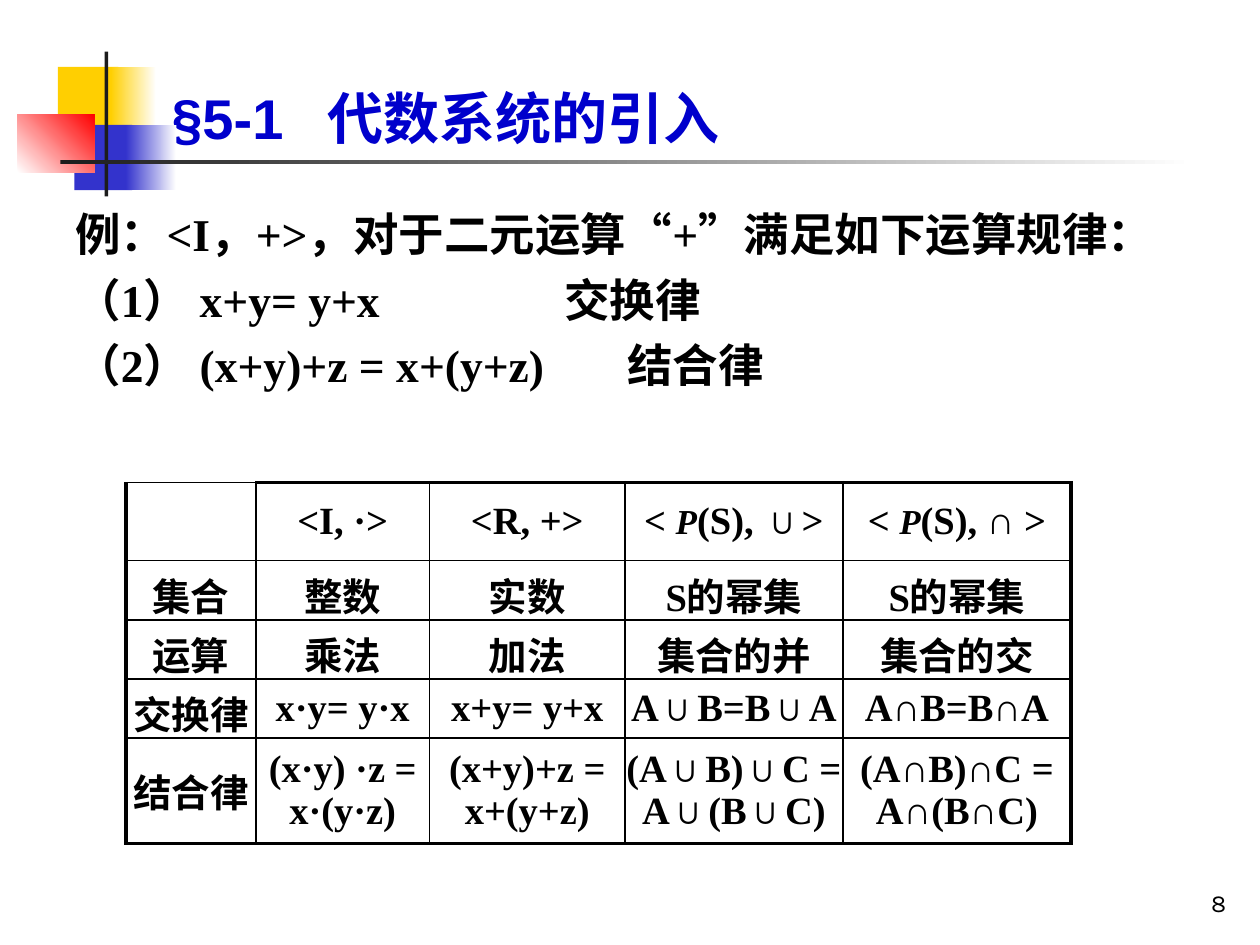
import pptx
import pptx.util
import pptx.dml.color
import pptx.enum.shapes
import pptx.enum.text
import pptx.oxml.ns
from lxml import etree

PX = 9144  # 100 px to the inch
COLORS = {"yellow": "FFCF01", "blue": "3333CC", "red": "FF0000", "white": "FFFFFF",
          "dark": "1C1C1C", "title": "0000CC", "text": "000000"}
SERIF = "Times New Roman"
ALIGN = pptx.enum.text.PP_ALIGN
ANCHOR = pptx.enum.text.MSO_ANCHOR

BODY_LINES = [
    "例：<I，+>，对于二元运算“+”满足如下运算规律：",
    "（1） x+y= y+x\t\t\t交换律",
    "（2） (x+y)+z = x+(y+z)\t\t结合律",
]
COLUMN_WIDTHS = [103, 138, 155, 173, 181]
ROW_HEIGHTS = [62, 47, 47, 47, 83]
# A cell is a list of runs; the run "P" is the power-set symbol.
LAWS = [
    [[], ["<I, ·>"], ["<R, +>"], ["< ", "P", "(S), ∪>"], ["< ", "P", "(S), ∩ >"]],
    [["集合"], ["整数"], ["实数"], ["S的幂集"], ["S的幂集"]],
    [["运算"], ["乘法"], ["加法"], ["集合的并"], ["集合的交"]],
    [["交换律"], ["x·y= y·x"], ["x+y= y+x"], ["A∪B=B∪A"], ["A∩B=B∩A"]],
    [["结合律"], ["(x·y) ·z = x·(y·z)"], ["(x+y)+z = x+(y+z)"],
     ["(A∪B)∪C = A∪(B∪C)"], ["(A∩B)∩C = A∩(B∩C)"]],
]


def emu(*lengths):
    return [round(length * PX) for length in lengths]


def rgb(name):
    return pptx.dml.color.RGBColor.from_string(COLORS[name])


def add_run(paragraph, text, size, font, color="text", bold=True, italic=False):
    run = paragraph.add_run()
    run.text = text
    run.font.size = pptx.util.Pt(size)
    run.font.name = font
    run.font.bold = bold
    run.font.italic = italic
    run.font.color.rgb = rgb(color)


def add_block(slide, box, start, end=None, angle=0):
    """Rectangle in one colour, or in a gradient from start to end."""
    block = slide.shapes.add_shape(pptx.enum.shapes.MSO_SHAPE.RECTANGLE, *emu(*box))
    block.shadow.inherit = False
    block.line.fill.background()
    if end is None:
        block.fill.solid()
        block.fill.fore_color.rgb = rgb(start)
        return
    block.fill.gradient()
    block.fill.gradient_angle = angle
    for stop, position, color in zip(block.fill.gradient_stops, (0, 1), (start, end)):
        stop.position = position
        stop.color.rgb = rgb(color)


def add_ornament(slide, box):
    left, top, width, height = box
    add_block(slide, (left + 32, top + 12, 48, 52), "yellow")
    add_block(slide, (left + 74, top + 12, 36, 52), "yellow", "white")
    add_block(slide, (left + 45, top + 58, 46, 52), "blue")
    add_block(slide, (left + 86, top + 58, 40, 52), "blue", "white")
    add_block(slide, (left, top + 50, 61, 46), "white", "red", 45)
    add_block(slide, (left + 69, top, 3, height), "dark")
    add_block(slide, (left + 34, top + 86, width - 34, 3), "dark", "white")


def add_title(slide, box):
    title = slide.shapes.title
    title.left, title.top, title.width, title.height = emu(*box)
    frame = title.text_frame
    frame.auto_size = pptx.enum.text.MSO_AUTO_SIZE.NONE
    frame.vertical_anchor = ANCHOR.BOTTOM
    paragraph = frame.paragraphs[0]
    paragraph.alignment = ALIGN.LEFT
    tabs = etree.SubElement(paragraph._p.get_or_add_pPr(), pptx.oxml.ns.qn("a:tabLst"))
    etree.SubElement(tabs, pptx.oxml.ns.qn("a:tab"), pos=str(124 * PX), algn="l")
    add_run(paragraph, "§5-1\t代数系统的引入", 32, "Arial", "title")


def add_body(slide, box):
    frame = slide.shapes.add_textbox(*emu(*box)).text_frame
    frame.word_wrap = True
    for index, line in enumerate(BODY_LINES):
        paragraph = frame.add_paragraph() if index else frame.paragraphs[0]
        paragraph.line_spacing = 1.2
        properties = paragraph._p.get_or_add_pPr()
        properties.set("marL", str(38 * PX))
        properties.set("indent", str(-38 * PX))
        add_run(paragraph, line, 26, SERIF)


def set_borders(cell, widths):
    properties = cell._tc.get_or_add_tcPr()
    for index, (side, width) in enumerate(widths.items()):
        line = etree.Element(pptx.oxml.ns.qn("a:ln" + side), w=str(pptx.util.Pt(width)))
        fill = etree.SubElement(line, pptx.oxml.ns.qn("a:solidFill"))
        etree.SubElement(fill, pptx.oxml.ns.qn("a:srgbClr"), val=COLORS["text"])
        properties.insert(index, line)


def add_laws_table(slide, box):
    last_row, last_column = len(ROW_HEIGHTS) - 1, len(COLUMN_WIDTHS) - 1
    table = slide.shapes.add_table(last_row + 1, last_column + 1, *emu(*box)).table
    table.first_row = table.horz_banding = False
    for column, width in zip(table.columns, emu(*COLUMN_WIDTHS)):
        column.width = width
    for row, height in zip(table.rows, emu(*ROW_HEIGHTS)):
        row.height = height
    for r, row in enumerate(LAWS):
        for c, runs in enumerate(row):
            cell = table.cell(r, c)
            cell.fill.background()
            cell.vertical_anchor = ANCHOR.MIDDLE
            cell.margin_left = cell.margin_right = 0
            cell.margin_top, cell.margin_bottom = emu(5, 5)
            paragraph = cell.text_frame.paragraphs[0]
            paragraph.alignment = ALIGN.CENTER
            for text in runs:
                power_set = text == "P"
                add_run(paragraph, text, 20 if power_set else 22, SERIF, italic=power_set)
            outer = {"L": c == 0, "R": c == last_column,
                     "T": r == 0 and c > 0, "B": r == last_row}
            set_borders(cell, {side: 2.25 if edge else 1 for side, edge in outer.items()})


def add_page_number(slide, box):
    frame = slide.shapes.add_textbox(*emu(*box)).text_frame
    frame.word_wrap = True
    frame.vertical_anchor = ANCHOR.BOTTOM
    frame.paragraphs[0].alignment = ALIGN.RIGHT
    add_run(frame.paragraphs[0], "8", 14, "Karla", bold=False)


def main():
    deck = pptx.Presentation()
    deck.slide_width, deck.slide_height = emu(1000, 750)
    slide = deck.slides.add_slide(deck.slide_layouts[5])
    add_ornament(slide, (14, 41, 934, 115))
    add_page_number(slide, (775, 683, 208, 50))
    add_title(slide, (126, 0, 852, 125))
    add_body(slide, (50, 150, 858, 233))
    add_laws_table(slide, (100, 383, sum(COLUMN_WIDTHS), sum(ROW_HEIGHTS)))
    deck.save("out.pptx")


if __name__ == "__main__":
    main()
